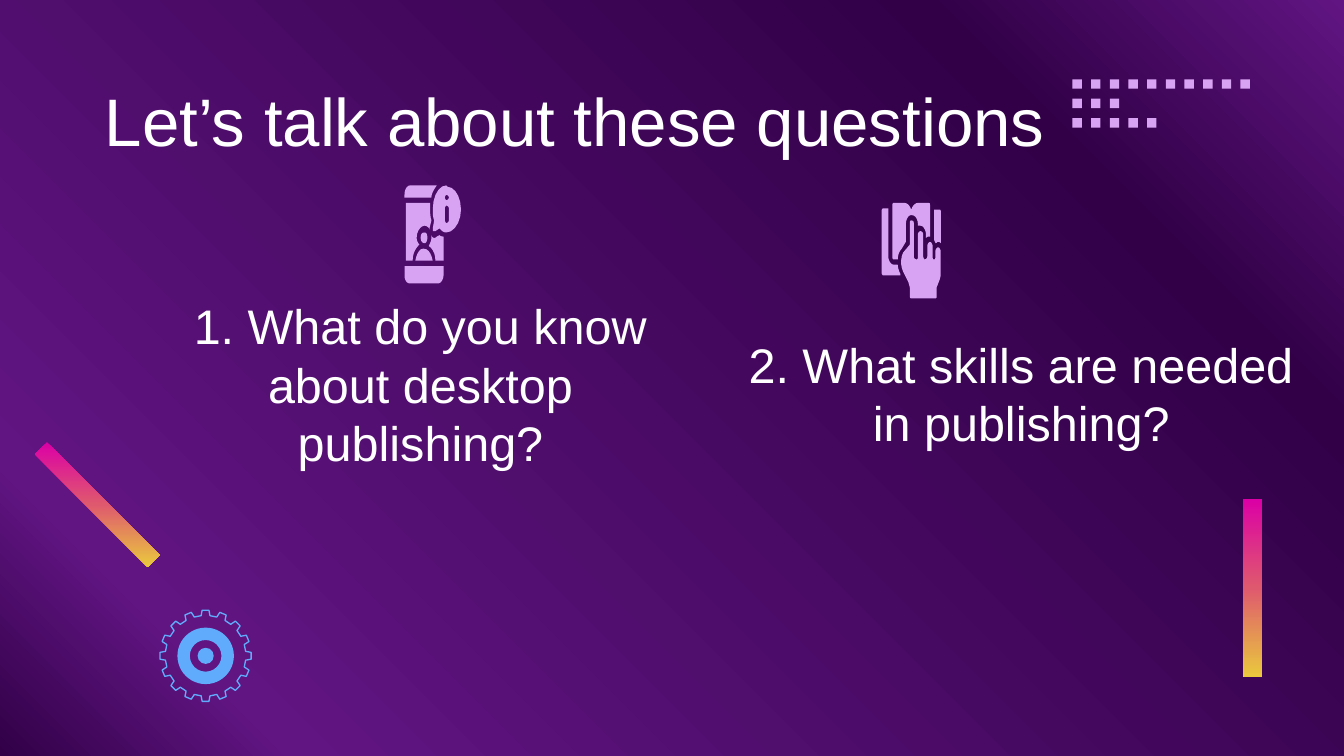
from dataclasses import dataclass
from math import cos, radians, sin

from pptx import Presentation
from pptx.dml.color import RGBColor
from pptx.enum.shapes import MSO_SHAPE as Shape
from pptx.enum.text import MSO_ANCHOR as Anchor, MSO_AUTO_SIZE as AutoSize, PP_ALIGN as Align
from pptx.oxml.ns import qn
from pptx.util import Inches, Pt
from lxml.etree import SubElement


@dataclass(frozen=True)
class Theme:
    """Colours, font and type sizes of the slide."""
    font: str = "Arial"
    text: str = "FFFFFF"
    lilac: str = "D9A3F3"
    blue: str = "61ABFC"
    backdrop: tuple = ((0, "310047"), (14, "611582"), (80, "310047"), (100, "611582"))
    sunset: tuple = ((0, "DB00A6"), (50, "DF596E"), (100, "EAC93D"))
    title_size: int = 36
    question_size: int = 26


THEME = Theme()

QUESTIONS = (
    ("1. What do you know about desktop publishing?", (0.94, 2.66, 4.38, 0.39)),
    ("2. What skills are needed in publishing?", (5.46, 2.3, 4.28, 1.25)),
)

HAND = [(678, 164), (677, 164, 677, 165, 677, 167), (677, 182), (672, 188),
        (670, 192, 670, 198, 672, 202), (676, 210), (676, 211, 677, 213, 677, 214),
        (677, 220), (677, 221, 677, 222, 678, 222), (696, 222),
        (697, 222, 697, 221, 697, 220), (697, 214), (697, 213, 698, 212, 698, 211),
        (699, 209, 700, 206, 700, 204), (700, 187), (700, 186, 699, 184, 698, 184),
        (697, 184, 696, 186, 696, 187), (696, 191), (696, 192, 696, 193, 695, 193),
        (694, 193, 694, 192, 694, 191), (694, 183), (694, 182, 693, 180, 692, 180),
        (691, 180, 690, 182, 690, 183), (690, 191), (690, 192, 689, 193, 688, 193),
        (688, 193, 687, 192, 687, 191), (687, 175), (687, 173, 686, 172, 685, 172),
        (684, 172, 683, 173, 683, 175), (683, 191), (683, 192, 683, 193, 682, 193),
        (681, 193, 680, 192, 680, 191), (680, 167), (680, 165, 680, 164, 678, 164)]
RIGHT_COVER = [(695, 156), (695, 178), (695, 179, 696, 180, 696, 181),
               (697, 181, 697, 180, 698, 180), (699, 180, 699, 180, 700, 181),
               (700, 157), (700, 156, 699, 156, 699, 156)]
LEFT_COVER = [(657, 155), (657, 155, 656, 156, 656, 157), (656, 203),
              (656, 204, 657, 205, 657, 205), (670, 205), (670, 204),
              (669, 202, 668, 199, 668, 197), (665, 197), (663, 197, 661, 194, 661, 191),
              (661, 155)]
PAGES = [(665, 151), (664, 151, 664, 152, 664, 153), (664, 191),
         (664, 192, 664, 193, 665, 193), (668, 193), (668, 190, 669, 187, 671, 185),
         (674, 180), (674, 167), (674, 163, 676, 160, 678, 160),
         (681, 160, 683, 163, 683, 167), (683, 168), (684, 168, 684, 168, 685, 168),
         (687, 168, 689, 171, 689, 175), (689, 177), (690, 176, 691, 176, 692, 176),
         (692, 153), (692, 152, 692, 151, 691, 151), (683, 151),
         (681, 151, 679, 153, 678, 156), (677, 153, 675, 151, 673, 151)]
SHOULDERS = [(315, 185), (312, 185, 310, 189, 309, 194), (322, 194),
             (321, 189, 319, 185, 315, 185)]
SCREEN_RIGHT = [(327, 175), (325, 176), (324, 177, 324, 177, 323, 177),
                (322, 177, 321, 176, 321, 175), (321, 175, 321, 176, 321, 177),
                (321, 179, 320, 181, 319, 183), (322, 185, 324, 189, 324, 194),
                (330, 194), (330, 176), (329, 176, 328, 176, 327, 175)]
SCREEN_LEFT = [(302, 151), (302, 194), (307, 194), (307, 189, 309, 185, 312, 182),
               (311, 181, 310, 179, 310, 177), (310, 172, 313, 168, 316, 168),
               (317, 168, 319, 169, 320, 171), (319, 170, 320, 169, 320, 168),
               (321, 164), (320, 161, 320, 158, 320, 155), (320, 154, 320, 152, 320, 151)]
HEAD = [(316, 173), (314, 173, 313, 174, 313, 177), (313, 179, 314, 181, 316, 181),
        (317, 181, 318, 179, 318, 177), (318, 174, 317, 173, 316, 173)]
INFO_DOT = [(332, 145), (333, 145, 334, 146, 334, 147), (334, 148, 333, 149, 332, 149),
            (332, 149, 331, 148, 331, 147), (331, 146, 332, 145, 332, 145)]
INFO_STEM = [(332, 153), (333, 153, 334, 154, 334, 155), (334, 164),
             (334, 165, 333, 166, 332, 166), (332, 166, 331, 165, 331, 164), (331, 155),
             (331, 154, 332, 153, 332, 153)]
BUBBLE = [(332, 138), (327, 138, 322, 145, 322, 156), (322, 159, 322, 161, 323, 164),
          (322, 170), (322, 170, 322, 171, 322, 172), (323, 172, 323, 172, 323, 172),
          (323, 172, 324, 172, 324, 172), (327, 170), (329, 172, 330, 173, 332, 173),
          (338, 173, 343, 165, 343, 156), (343, 146, 338, 139, 333, 139),
          (333, 139, 332, 138, 332, 138)]
PHONE_BOTTOM = [(301, 198), (301, 205), (301, 209, 303, 211, 305, 211), (326, 211),
                (328, 211, 330, 208, 330, 205), (330, 198)]
PHONE_TOP = [(305, 138), (303, 138, 301, 141, 301, 145), (301, 147), (321, 147),
             (321, 144, 323, 141, 325, 138)]

BOOK_ICON = ([HAND], [RIGHT_COVER], [LEFT_COVER], [PAGES])
PHONE_ICON = ([SHOULDERS], [SCREEN_RIGHT], [SCREEN_LEFT], [HEAD],
              [INFO_DOT, INFO_STEM, BUBBLE], [PHONE_BOTTOM], [PHONE_TOP])


def paint_gradient(fill, owner, stops, angle):
    """Fill with colour stops along a counter-clockwise angle."""
    fill.gradient()
    fill.gradient_angle = angle
    stop_list = next(owner.iter(qn("a:gsLst")))
    for old_stop in list(stop_list):
        stop_list.remove(old_stop)
    for percent, colour in stops:
        stop = SubElement(stop_list, qn("a:gs"), pos=str(percent * 1000))
        SubElement(stop, qn("a:srgbClr"), val=colour)


def paint_plain(shape, colour):
    """Give a shape one flat colour without line or shadow."""
    shape.shadow.inherit = False
    shape.fill.solid()
    shape.fill.fore_color.rgb = RGBColor.from_string(colour)
    shape.line.fill.background()


def flatten(outline, steps=5):
    """Turn points and six-number Bézier segments in 1/100 inch into points in inches."""
    points = [outline[0]]
    for segment in outline[1:]:
        if len(segment) == 2:
            points.append(segment)
            continue
        curve = (points[-1], segment[:2], segment[2:4], segment[4:])
        for step in range(1, steps + 1):
            t = step / steps
            weights = ((1 - t) ** 3, 3 * t * (1 - t) ** 2, 3 * t * t * (1 - t), t ** 3)
            points.append(tuple(sum(w * p[axis] for w, p in zip(weights, curve))
                                for axis in (0, 1)))
    return [(x / 100, y / 100) for x, y in points]


def add_outline(slide, contours):
    """Add one freeform made of closed contours in inches."""
    contours = [[(Inches(x), Inches(y)) for x, y in contour] for contour in contours]
    builder = slide.shapes.build_freeform(*contours[0][0])
    for index, contour in enumerate(contours):
        if index:
            builder.move_to(*contour[0])
        builder.add_line_segments(contour[1:], close=True)
    shape = builder.convert_to_shape()
    shape.shadow.inherit = False
    return shape


def add_icon(slide, parts):
    """Draw the parts of a lilac icon."""
    for contours in parts:
        paint_plain(add_outline(slide, [flatten(c) for c in contours]), THEME.lilac)


def add_bar(slide, corners):
    """Draw a bar that runs from pink to yellow."""
    bar = add_outline(slide, [corners])
    paint_gradient(bar.fill, bar.element, THEME.sunset, 270)
    bar.line.fill.background()


def add_gear(slide, x, y, teeth=16):
    """Draw a toothed rim around a ring and a hub."""
    profile = ((-6.3, 0.3), (-4.3, 0.34), (4.3, 0.34), (6.3, 0.3))
    rim = add_outline(slide, [[
        (x + radius * cos(radians(360 / teeth * tooth + turn)),
         y + radius * sin(radians(360 / teeth * tooth + turn)))
        for tooth in range(teeth) for turn, radius in profile]])
    rim.fill.background()
    rim.line.color.rgb = RGBColor.from_string(THEME.blue)
    rim.line.width = Pt(0.71)
    for kind, size in ((Shape.DONUT, 0.42), (Shape.OVAL, 0.12)):
        disc = slide.shapes.add_shape(kind, Inches(x - size / 2), Inches(y - size / 2),
                                      Inches(size), Inches(size))
        paint_plain(disc, THEME.blue)
        if kind == Shape.DONUT:
            disc.adjustments[0] = 0.22


def add_dots(slide, left=7.98, top=0.59, size=0.07):
    """Draw rows of small squares."""
    for row, count in enumerate((10, 3, 5)):
        for column in range(count):
            dot = slide.shapes.add_shape(
                Shape.RECTANGLE, Inches(left + column * 1.25 / 9),
                Inches(top + row * 0.29 / 2), Inches(size), Inches(size))
            paint_plain(dot, THEME.lilac)


def write(holder, words, box, size, align, anchor):
    """Place a text holder and set its words in the theme font."""
    holder.left, holder.top, holder.width, holder.height = map(Inches, box)
    frame = holder.text_frame
    frame.text = words
    frame.word_wrap = True
    frame.auto_size = AutoSize.NONE
    frame.vertical_anchor = anchor
    frame.margin_left = frame.margin_right = Inches(0.1)
    frame.margin_top = frame.margin_bottom = Inches(0.1)
    paragraph = frame.paragraphs[0]
    paragraph.alignment = align
    font = paragraph.runs[0].font
    font.name, font.size = THEME.font, Pt(size)
    font.color.rgb = RGBColor.from_string(THEME.text)


def main():
    """Build and save the slide."""
    deck = Presentation()
    deck.slide_width = Inches(10)
    deck.slide_height = deck.slide_width * 9 // 16
    slide = deck.slides.add_slide(deck.slide_layouts[5])
    paint_gradient(slide.background.fill, slide.element, THEME.backdrop, 45)
    write(slide.shapes.title, "Let’s talk about these questions", (0.68, 0.49, 8.64, 0.63),
          THEME.title_size, Align.LEFT, Anchor.TOP)
    for question, box in QUESTIONS:
        holder = slide.shapes.add_textbox(*map(Inches, box))
        write(holder, question, box, THEME.question_size, Align.CENTER, Anchor.MIDDLE)
    add_icon(slide, BOOK_ICON)
    add_icon(slide, PHONE_ICON)
    add_bar(slide, [(9.25, 3.71), (9.39, 3.71), (9.39, 5.04), (9.25, 5.04)])
    add_gear(slide, 1.53, 4.88)
    add_bar(slide, [(0.26, 3.38), (0.35, 3.29), (1.19, 4.13), (1.1, 4.22)])
    add_dots(slide)
    deck.save("out.pptx")


if __name__ == "__main__":
    main()
